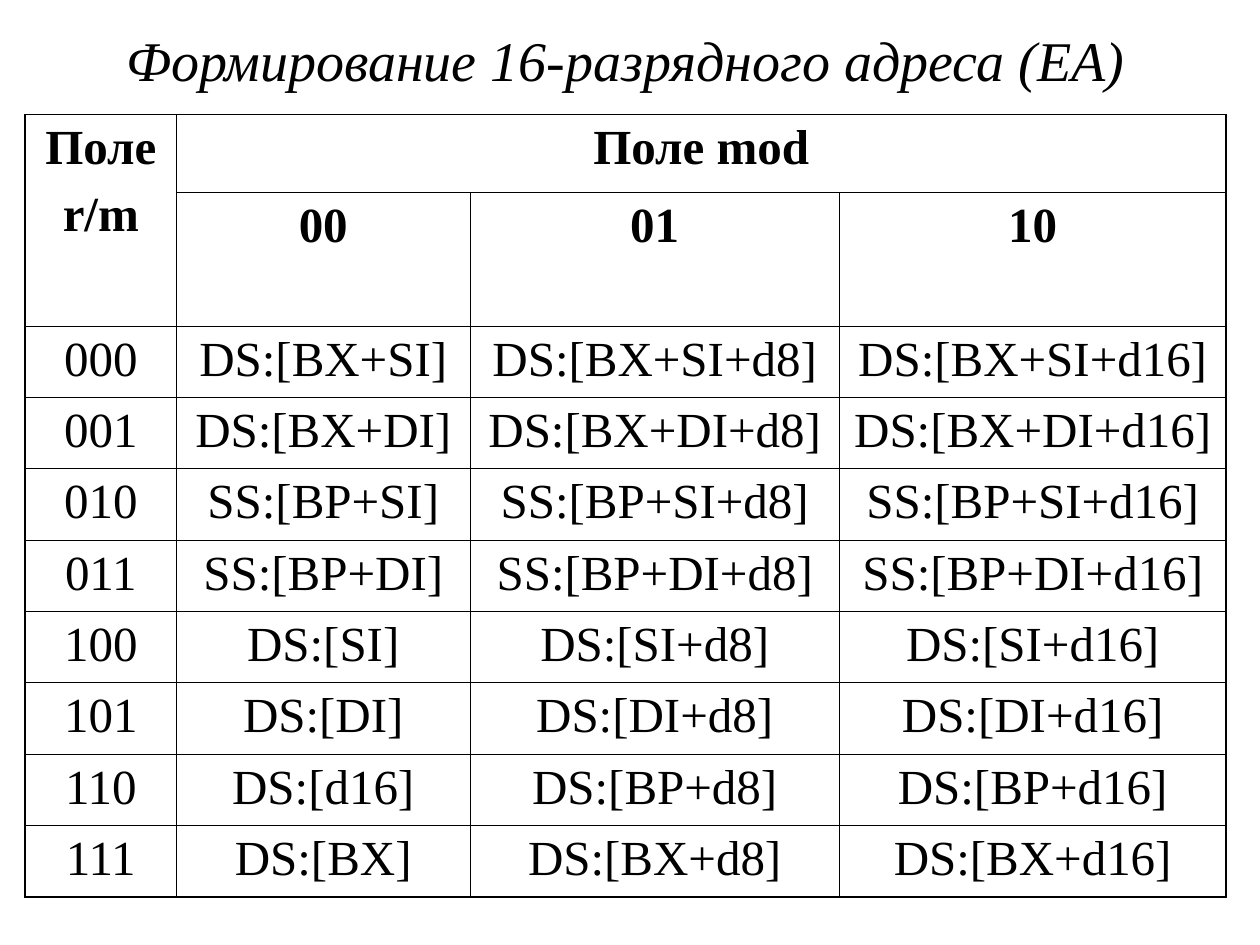
"""Builds a slide with the table of 16-bit effective address forms."""
import lxml.etree
import pptx
import pptx.dml.color
import pptx.enum.text
import pptx.oxml.ns
import pptx.util

Pt = pptx.util.Pt
FONT = "Times New Roman"
COLORS = {"text": "000000", "border": "000000"}
COLUMN_WIDTHS = [86.4, 167.8, 211, 221]
HEADER_HEIGHTS = [44.6, 76.3]
BASES = ["DS:BX+SI", "DS:BX+DI", "SS:BP+SI", "SS:BP+DI", "DS:SI", "DS:DI", "DS:BP", "DS:BX"]
DIRECT_ROW = 6
OUTER_LINE, INNER_LINE = 1.08, 0.45


def format_text(text_frame, size, bold=False, italic=False):
    """Centre the paragraphs and format their runs."""
    for index, paragraph in enumerate(text_frame.paragraphs):
        paragraph.alignment = pptx.enum.text.PP_ALIGN.CENTER
        paragraph.space_before = Pt(7 if index else 0)
        for run in paragraph.runs:
            run.font.name = FONT
            run.font.size = Pt(size)
            run.font.bold = bold
            run.font.italic = italic
            run.font.color.rgb = pptx.dml.color.RGBColor.from_string(COLORS["text"])


def address_rows():
    """Return the r/m code and the three address forms of each row."""
    rows = []
    for number, address in enumerate(BASES):
        segment, base = address.split(":")
        plain = "d16" if number == DIRECT_ROW else base
        forms = [plain, f"{base}+d8", f"{base}+d16"]
        rows.append([f"{number:03b}"] + [f"{segment}:[{form}]" for form in forms])
    return rows


def set_borders(cell, outer_sides):
    """Draw the four borders of a cell, thicker on the outer sides."""
    properties = cell._tc.get_or_add_tcPr()
    for side in "LRTB":
        width = OUTER_LINE if side in outer_sides else INNER_LINE
        line = lxml.etree.SubElement(
            properties, pptx.oxml.ns.qn(f"a:ln{side}"), w=str(int(Pt(width))))
        fill = lxml.etree.SubElement(line, pptx.oxml.ns.qn("a:solidFill"))
        lxml.etree.SubElement(fill, pptx.oxml.ns.qn("a:srgbClr"), val=COLORS["border"])


def add_title(slide, left, top, width, height):
    """Place and format the slide title in the given box."""
    title = slide.shapes.title
    title.left, title.top, title.width, title.height = map(Pt, (left, top, width, height))
    title.text_frame.text = "Формирование 16-разрядного адреса (ЕА)"
    title.text_frame.auto_size = pptx.enum.text.MSO_AUTO_SIZE.NONE
    title.text_frame.vertical_anchor = pptx.enum.text.MSO_ANCHOR.MIDDLE
    format_text(title.text_frame, 32, italic=True)


def add_address_table(slide, left, top, width, height):
    """Add the table of address forms in the given box."""
    rows = [["Поле\nr/m", "Поле mod", "", ""], ["", "00", "01", "10"]] + address_rows()
    row_count, column_count = len(rows), len(COLUMN_WIDTHS)
    table = slide.shapes.add_table(
        row_count, column_count, Pt(left), Pt(top), Pt(width), Pt(height)).table
    table.first_row = table.horz_banding = False
    for column, share in zip(table.columns, COLUMN_WIDTHS):
        column.width = Pt(width * share / sum(COLUMN_WIDTHS))
    body_height = (height - sum(HEADER_HEIGHTS)) / len(BASES)
    for row, row_height in zip(table.rows, HEADER_HEIGHTS + [body_height] * len(BASES)):
        row.height = Pt(row_height)
    table.cell(0, 0).merge(table.cell(1, 0))
    table.cell(0, 1).merge(table.cell(0, 3))

    for row_index, texts in enumerate(rows):
        for column_index, text in enumerate(texts):
            cell = table.cell(row_index, column_index)
            if cell.is_spanned:
                continue
            edges = {
                "L": column_index == 0,
                "R": column_index + cell.span_width == column_count,
                "T": row_index == 0,
                "B": row_index + cell.span_height == row_count,
            }
            set_borders(cell, [side for side, outer in edges.items() if outer])
            cell.fill.background()
            cell.text_frame.text = text
            format_text(cell.text_frame, 28, bold=row_index < len(HEADER_HEIGHTS))


def main():
    """Build and save the presentation."""
    presentation = pptx.Presentation()
    presentation.slide_width, presentation.slide_height = Pt(720), Pt(540)
    slide = presentation.slides.add_slide(presentation.slide_layouts[5])
    add_title(slide, 14.4, 6.5, 686.2, 54)
    add_address_table(slide, 14.4, 65.5, 686.2, 447.1)
    presentation.save("out.pptx")


if __name__ == "__main__":
    main()
